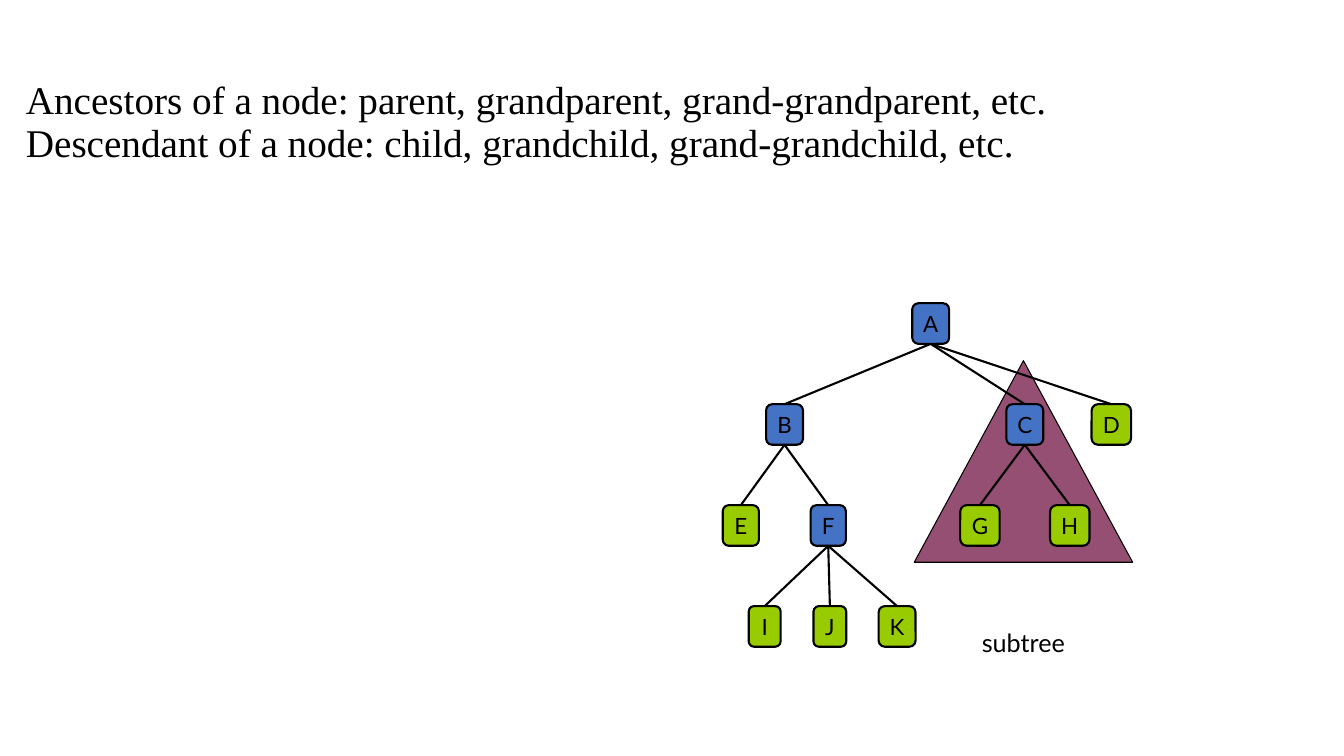
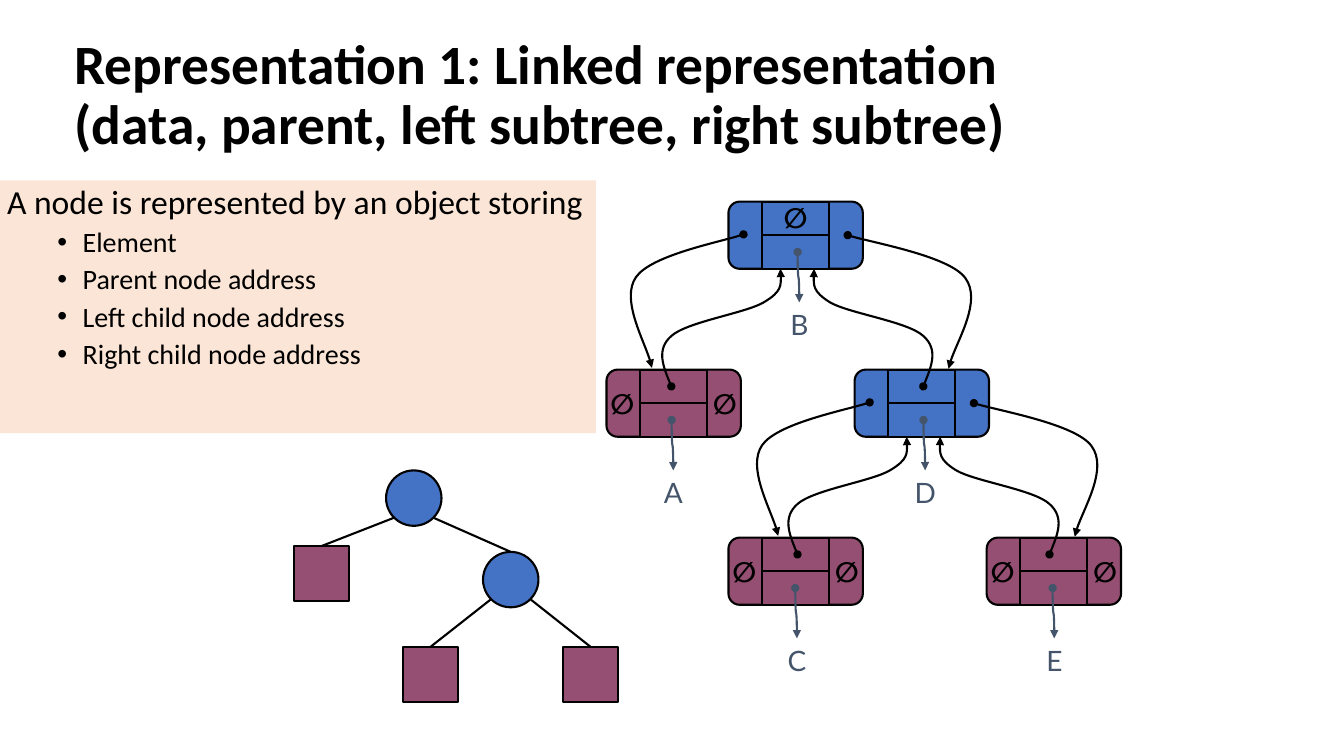
from dataclasses import dataclass
from math import sqrt

from lxml.etree import SubElement
from pptx import Presentation
from pptx.dml.color import RGBColor
from pptx.enum.shapes import MSO_CONNECTOR, MSO_SHAPE
from pptx.enum.text import MSO_ANCHOR, PP_ALIGN
from pptx.oxml.ns import qn
from pptx.util import Emu, Inches, Pt


@dataclass(frozen=True)
class Theme:
    black: str = "000000"
    blue: str = "4472C4"
    green: str = "99CC00"
    plum: str = "954F72"
    slate: str = "44546A"
    peach: str = "FBE5D6"
    serif: str = "Times New Roman"
    sans: str = "Calibri"
    diagram: str = "Lato"
    title: float = 39.6
    body: float = 28
    lead: float = 24
    item: float = 20
    caption: float = 18
    node: float = 16
    line: float = 1.5
    thin: float = 0.75
    spacing: float = 0.9


T = Theme()
ROWS = 45  # the slide is 80 columns by 45 rows of square cells
prs = Presentation()
prs.slide_width, prs.slide_height = Inches(13 + 1 / 3), Inches(7.5)
CELL = prs.slide_height / ROWS


def cells(*values):
    """Turn grid columns and rows into slide lengths."""
    return [Emu(round(v * CELL)) for v in values]


def dress(sp, fill=None, line=T.black, width=T.line, arrow=False):
    """Set fill, outline and arrowheads, and take the shadow away."""
    if line:
        sp.line.color.rgb = RGBColor.from_string(line)
        sp.line.width = Pt(width)
    else:
        sp.line.fill.background()
    if arrow:
        ln = sp.line._get_or_add_ln()
        SubElement(ln, qn("a:headEnd"), type="oval")
        SubElement(ln, qn("a:tailEnd"), type="triangle")
    if hasattr(sp, "fill"):
        sp.shadow.inherit = False
        if fill:
            sp.fill.solid()
            sp.fill.fore_color.rgb = RGBColor.from_string(fill)
        else:
            sp.fill.background()
    else:
        SubElement(sp._element.spPr, qn("a:effectLst"))
    return sp


def write(sp, lines, size, font=T.diagram, color=T.black, bold=False,
          align=PP_ALIGN.CENTER, anchor=MSO_ANCHOR.MIDDLE, inset=0, spacing=None):
    tf = sp.text_frame
    frame = {"word_wrap": True, "vertical_anchor": anchor,
             "margin_left": Inches(inset), "margin_right": 0,
             "margin_top": Inches(min(inset, 0.05)),
             "margin_bottom": Inches(min(inset, 0.05))}
    for name, value in frame.items():
        setattr(tf, name, value)
    for i, line in enumerate(lines):
        p = tf.paragraphs[0] if i == 0 else tf.add_paragraph()
        p.text, p.alignment, p.line_spacing = line, align, spacing
        for r in p.runs:
            for name, value in {"size": Pt(size), "name": font, "bold": bold}.items():
                setattr(r.font, name, value)
            r.font.color.rgb = RGBColor.from_string(color)
    return tf


PROSE = {"align": PP_ALIGN.LEFT, "spacing": T.spacing}
blank = prs.slide_layouts[6]

# Slide 1: ancestors, descendants and a subtree
s = prs.slides.add_slide(blank)
triangle = s.shapes.add_shape(MSO_SHAPE.ISOSCELES_TRIANGLE, *cells(54.42, 21.47, 13, 12))
dress(triangle, T.plum, width=T.thin)
tf = write(triangle, ["subtree"], T.caption, anchor=MSO_ANCHOR.BOTTOM)
below = {"word_wrap": False, "margin_left": Inches(0.1),
         "margin_right": Inches(0.1), "margin_top": Inches(2.9)}
for name, value in below.items():
    setattr(tf, name, value)
write(s.shapes.add_textbox(*cells(0.95, 5.92, 73, 3 * 2)[:1], *cells(4.34, 73, 6)),
      ["Ancestors of a node: parent, grandparent, grand-grandparent, etc.",
       "Descendant of a node: child, grandchild, grand-grandchild, etc."],
      T.body, T.serif, inset=0.1, **PROSE)

# name: (parent, level, centre column, width)
family = {
    "A": (None, 0, 55.4, 2.2), "B": ("A", 1, 46.7, 2.2),
    "C": ("A", 1, 61, 2.2), "D": ("A", 1, 66.15, 2.35),
    "E": ("B", 2, 44.1, 2.15), "F": ("B", 2, 49.3, 2.1),
    "G": ("C", 2, 58.33, 2.35), "H": ("C", 2, 63.68, 2.35),
    "I": ("F", 3, 45.52, 1.9), "J": ("F", 3, 49.4, 1.95),
    "K": ("F", 3, 53.4, 2.2),
}
parents = {parent for parent, *_ in family.values()}
nodes = {}
for name, (parent, level, col, width) in family.items():
    sp = s.shapes.add_shape(MSO_SHAPE.ROUNDED_RECTANGLE,
                            *cells(col - width / 2, 18.05 + 6.01 * level, width, 2.42))
    nodes[name] = dress(sp, T.blue if name in parents else T.green)
    write(sp, [name], T.node)
for name, (parent, *_) in family.items():
    if parent:
        edge = s.shapes.add_connector(MSO_CONNECTOR.STRAIGHT, 0, 0, 0, 0)
        edge.begin_connect(nodes[parent], 2)
        edge.end_connect(nodes[name], 0)
        dress(edge)

# Slide 2: linked representation
s = prs.slides.add_slide(blank)
write(s.shapes.add_textbox(*cells(3.85, 2, 70.5, 7.5)),
      ["Representation 1: Linked representation \v"
       "(data, parent, left subtree, right subtree)"],
      T.title, T.sans, bold=True, inset=0.1, **PROSE)

panel = dress(s.shapes.add_shape(MSO_SHAPE.RECTANGLE, *cells(0, 10.73, 35.48, 15.05)),
              T.peach, line=None)
tf = write(panel, ["A node is represented by an object storing", "Element",
                   "Parent node address", "Left child node address",
                   "Right child node address"],
           T.lead, T.sans, anchor=MSO_ANCHOR.TOP, inset=0.07, **PROSE)
for p in tf.paragraphs[1:]:
    p.level, p.space_before = 1, Pt(5)
    pPr = p._p.get_or_add_pPr()
    pPr.set("marL", str(Inches(0.75)))
    pPr.set("indent", str(-Inches(0.25)))
    SubElement(pPr, qn("a:buFont"), typeface="Arial")
    SubElement(pPr, qn("a:buChar"), char="•")
    p.runs[0].font.size = Pt(T.item)

# name: (parent, side, centre column, centre row)
SIZE = 3.3
binary = {"B": (None, 0, 24.63, 29.65), "D": ("B", 1, 30.4, 34.5),
          "A": ("B", -1, 19.15, 34.15), "C": ("D", -1, 25.63, 40.15),
          "E": ("D", 1, 35.15, 40.15)}
inner = {parent for parent, *_ in binary.values()}
nodes = {}
for name, (parent, side, col, row) in binary.items():
    outline, fill = ((MSO_SHAPE.OVAL, T.blue) if name in inner
                     else (MSO_SHAPE.RECTANGLE, T.plum))
    sp = s.shapes.add_shape(outline, *cells(col - SIZE / 2, row - SIZE / 2, SIZE, SIZE))
    nodes[name] = dress(sp, fill)
REACH = SIZE / 2 / sqrt(2)
for name, (parent, side, *_) in binary.items():
    if parent:
        col, row = binary[parent][2:]
        start = cells(col + side * REACH, row + REACH)
        edge = s.shapes.add_connector(MSO_CONNECTOR.STRAIGHT, *start, *start)
        edge.end_connect(nodes[name], 0)
        dress(edge)

# Records of 8 by 4 cells: (left, top, fill, data column, cell centres holding ∅)
SIDES = [(0.95, 2), (7.05, 2)]
records = {"B": (43.36, 12, T.blue, 4.17, [(4, 0.93)]),
           "A": (36.1, 22, T.plum, 3.93, SIDES),
           "D": (50.87, 22, T.blue, 4.15, []),
           "C": (43.36, 32, T.plum, 4.03, SIDES),
           "E": (58.73, 32, T.plum, 3.98, SIDES)}
for name, (left, top, fill, data_col, empty) in records.items():
    dress(s.shapes.add_shape(MSO_SHAPE.ROUNDED_RECTANGLE, *cells(left, top, 8, 4)), fill)
    middle = dress(s.shapes.add_shape(MSO_SHAPE.RECTANGLE, *cells(left + 2, top, 4, 4)), fill)
    divider = s.shapes.add_connector(MSO_CONNECTOR.STRAIGHT, 0, 0, 0, 0)
    divider.begin_connect(middle, 1)
    divider.end_connect(middle, 3)
    dress(divider)
    for dx, dy in empty:
        write(s.shapes.add_textbox(*cells(left + dx - 1, top + dy - 1, 2, 2)),
              ["∅"], T.item, bold=True)
    x, y = left + data_col, top + 4.5
    data = s.shapes.add_connector(
        MSO_CONNECTOR.CURVE, *cells(x + 1.5, y - 0.05, x - 1.5, y + 0.05))
    data._element.spPr.xfrm.set("rot", str(270 * 60000))
    dress(data, line=T.slate, arrow=True)
    write(s.shapes.add_textbox(*cells(x - 0.95, top + 6.3, 2, 2)),
          [name], T.item, color=T.slate)

# Bézier points of the pointers, in cells from the parent record's corner
pointers = [
    [(0.9, 1.95), (-0.2, 2.35), (-4.6, 3.2), (-5.5, 4.5),
     (-6.4, 5.8), (-4.75, 8.75), (-4.55, 9.9)],
    [(7.1, 2), (8.3, 2.4), (13.15, 3.25), (14.1, 4.55),
     (15.1, 5.9), (13.3, 8.8), (13.1, 9.95)],
    [(-3.4, 11), (-3.85, 9.9), (-4.3, 8.8), (-3.4, 8), (-2.45, 7.15),
     (1, 6.65), (2.1, 6), (3.2, 5.35), (3.15, 4.65), (3.1, 4)],
    [(11.6, 11), (12.05, 9.9), (12.5, 8.8), (11.6, 8), (10.7, 7.15),
     (7.15, 6.65), (6.05, 6), (5, 5.35), (5.05, 4.65), (5.1, 4)],
]
for name in ("B", "D"):
    left, top = records[name][:2]
    for points in pointers:
        dots = [cells(left + x, top + y) for x, y in points]
        builder = s.shapes.build_freeform(*dots[0])
        builder.add_line_segments(dots[1:], close=False)
        pointer = dress(builder.convert_to_shape(), arrow=True)
        segments = list(pointer._element.iter(qn("a:lnTo")))
        outline = segments[0].getparent()
        for k in range(0, len(segments), 3):
            bend = SubElement(outline, qn("a:cubicBezTo"))
            for segment in segments[k:k + 3]:
                bend.append(segment[0])
                outline.remove(segment)

prs.save("out.pptx")
